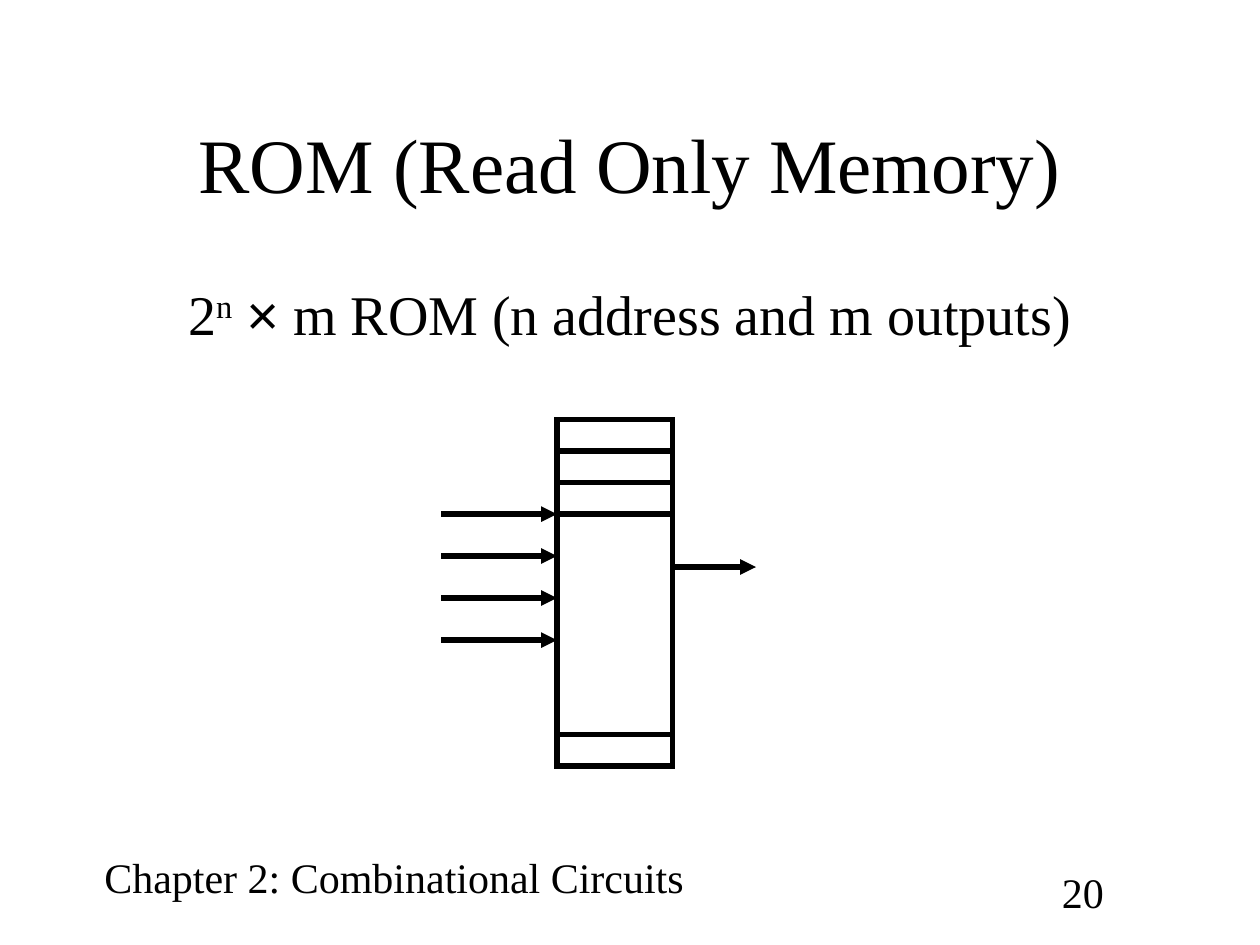
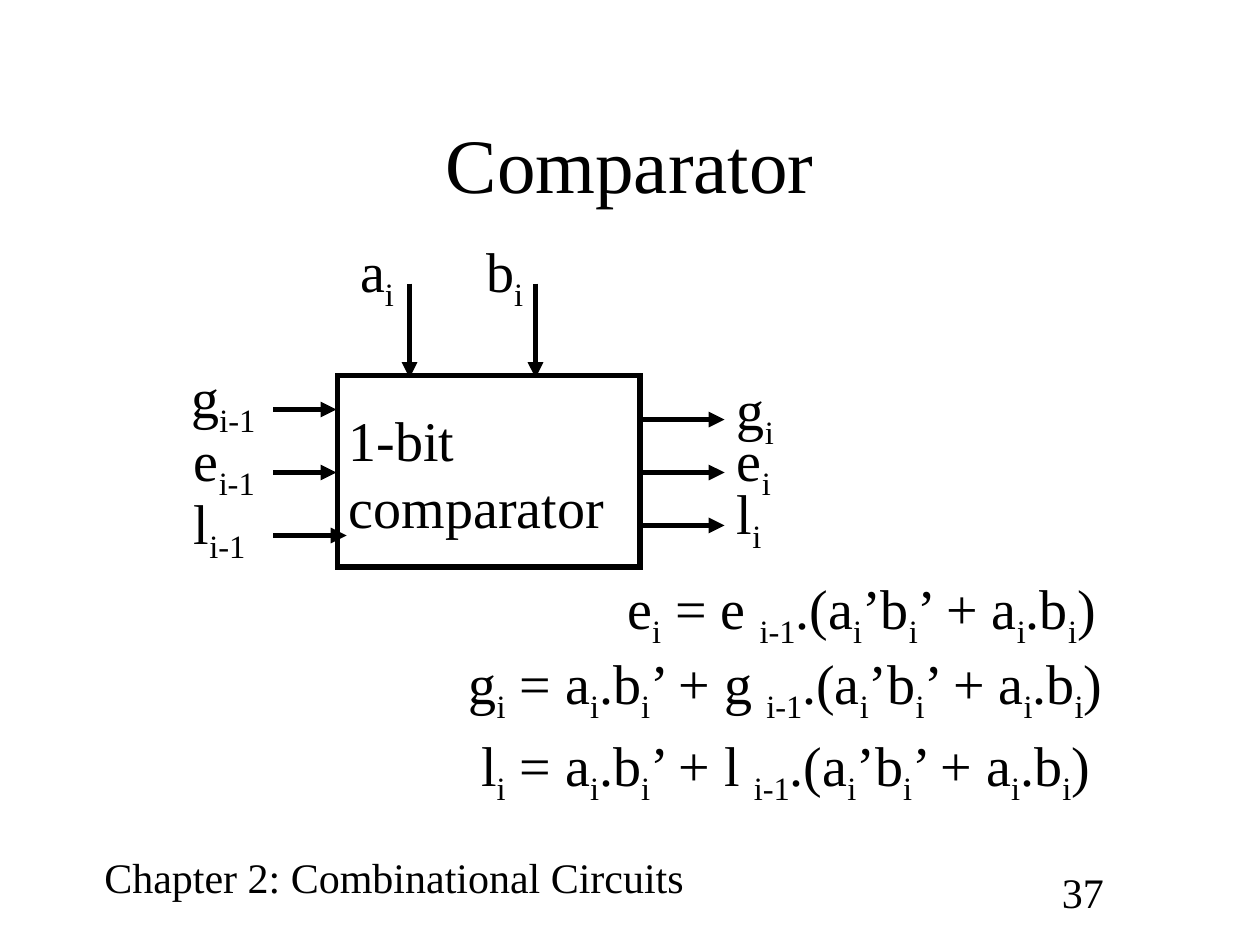
from collections import namedtuple

from pptx import Presentation
from pptx.dml.color import RGBColor
from pptx.enum.shapes import MSO_CONNECTOR as Connector, MSO_SHAPE as Shape
from pptx.enum.text import MSO_ANCHOR as Anchor, MSO_AUTO_SIZE as AutoSize, PP_ALIGN as Align
from pptx.oxml.ns import qn
from pptx.util import Inches, Pt

COLORS = {"ink": "000000", "paper": "FFFFFF"}
FONT, SYMBOL_FONT = "Times New Roman", "Arial"
TITLE_SIZE, TEXT_SIZE, FOOTER_SIZE = 44, 32, 24
LINE_WIDTH = Pt(3)
SUBSCRIPT, SUPERSCRIPT = -25000, 30000
TITLE_AND_BODY, TITLE_ONLY = 1, 5
Box = namedtuple("Box", "left top width height")


def color(name):
    return RGBColor.from_string(COLORS[name])


def place(shape, box):
    shape.left, shape.top, shape.width, shape.height = map(Inches, box)


def add_element(parent, tag, **attributes):
    parent.append(parent.makeelement(qn(tag), attributes))


def write(para, text, size, shift=SUBSCRIPT):
    """Every second piece between bars is shifted off the baseline."""
    for index, piece in enumerate(text.split("|")):
        if piece:
            span = para.add_run()
            span.text = piece
            if index % 2:
                span.font._element.set("baseline", str(shift))
    para.font.name = FONT
    para.font.size = Pt(size)
    para.font.color.rgb = color("ink")


def add_text(page, box, *lines, size=TEXT_SIZE, wrap=True):
    label = page.shapes.add_textbox(*map(Inches, box))
    frame = label.text_frame
    frame.word_wrap = wrap
    frame.auto_size = AutoSize.SHAPE_TO_FIT_TEXT
    for index, line in enumerate(lines):
        write(frame.add_paragraph() if index else frame.paragraphs[0], line, size)


def style_line(line):
    line.color.rgb = color("ink")
    line.width = LINE_WIDTH
    stroke = line._get_or_add_ln()
    add_element(stroke, "a:miter", lim="800000")
    return stroke


def add_outline(page, box):
    outline = page.shapes.add_shape(Shape.RECTANGLE, *map(Inches, box))
    outline.shadow.inherit = False
    outline.fill.background()
    style_line(outline.line)


def add_line(page, x1, y1, x2, y2, arrow=True):
    line = page.shapes.add_connector(Connector.STRAIGHT, *map(Inches, (x1, y1, x2, y2)))
    stroke = style_line(line.line)
    if arrow:
        add_element(stroke, "a:tailEnd", type="triangle")
    add_element(line._element.spPr, "a:effectLst")


def fill_placeholder(holder, box, text, size, anchor, shift=SUBSCRIPT):
    place(holder, box)
    frame = holder.text_frame
    frame.word_wrap = True
    frame.auto_size = AutoSize.NONE
    frame.vertical_anchor = anchor
    para = frame.paragraphs[0]
    para.alignment = Align.CENTER
    para.space_before = Pt(0)
    add_element(para._p.get_or_add_pPr(), "a:buNone")
    write(para, text, size, shift)
    return para


def add_page(deck, layout, title, number):
    page = deck.slides.add_slide(deck.slide_layouts[layout])
    page.background.fill.solid()
    page.background.fill.fore_color.rgb = color("paper")
    add_text(page, Box(0.73, 6.71, 4.88, 0.5), "Chapter 2: Combinational Circuits",
             size=FOOTER_SIZE, wrap=False)
    add_text(page, Box(8.33, 6.83, 0.92, 0.5), str(number), size=FOOTER_SIZE)
    fill_placeholder(page.shapes.title, Box(0.75, 0.67, 8.5, 1.25), title, TITLE_SIZE, Anchor.MIDDLE)
    return page


def add_memory(page, box):
    add_outline(page, box)
    right = box.left + box.width
    row = box.height / 11
    for count in (1, 2, 3, 10):
        y = box.top + count * row
        add_line(page, box.left, y, right, y, arrow=False)
    for index in range(4):
        y = box.top + 3 * row + index / 3
        add_line(page, box.left - 0.92, y, box.left, y)
    y = box.top + 1.17
    add_line(page, right, y, right + 0.66, y)


def add_comparator(page, box):
    left, top = box.left, box.top
    right = left + box.width
    add_outline(page, box)
    add_text(page, Box(left - 0.01, top + 0.19, 2.64, 1.17), "1-bit", "comparator")

    for index, name in enumerate("ab"):
        x = left + 0.57 + index
        add_line(page, x, top - 0.73, x, top + 0.02)
        add_text(page, Box(left + 0.08 + index, top - 1.15, 0.53, 0.71), f"{name}|i")

    inputs = (("g", 1.42, 0.97, 0.5), ("e", 1.44, 0.75, 0.5), ("l", 1.44, 0.68, 0.58))
    for index, (name, x, width, length) in enumerate(inputs):
        y = top + 0.27 + index / 2
        add_line(page, left - 0.51, y, left - 0.51 + length, y)
        add_text(page, Box(x, y - 0.42, width, 0.71), f"{name}|i-1")

    outputs = (("g", 0.53, 0.35, -0.06), ("e", 0.53, 0.77, 0.35), ("l", 0.45, 1.19, 0.77))
    for name, width, arrow_y, label_y in outputs:
        add_line(page, right, top + arrow_y, right + 0.67, top + arrow_y)
        add_text(page, Box(right + 0.67, top + label_y, width, 0.71), f"{name}|i")


def add_equations(page, box):
    equal = "(a|i|’b|i|’ + a|i|.b|i|)"
    equations = (
        (1.26, 0, 3.95, f"e|i| = e |i-1|.{equal}"),
        (0, 0.6, 5.29, f"g|i| = a|i|.b|i|’ + g |i-1|.{equal}"),
        (0.1, 1.25, 5.1, f"l|i| = a|i|.b|i|’ + l |i-1|.{equal}"),
    )
    for x, y, width, text in equations:
        add_text(page, Box(box.left + x, box.top + y, width, 0.71), text, wrap=False)


def build_memory_page(deck):
    page = add_page(deck, TITLE_AND_BODY, "ROM (Read Only Memory)", 20)
    para = fill_placeholder(
        page.placeholders[1], Box(0.75, 2.17, 8.5, 4.5),
        "2|n| ||×|| m ROM (n address and m outputs)", TEXT_SIZE, Anchor.TOP, SUPERSCRIPT)
    para.runs[3].font.name = SYMBOL_FONT
    add_memory(page, Box(4.42, 3.33, 0.92, 2.75))


def build_comparator_page(deck):
    page = add_page(deck, TITLE_ONLY, "Comparator", 37)
    add_comparator(page, Box(2.68, 2.98, 2.4, 1.52))
    add_equations(page, Box(3.62, 4.5, 5.29, 1.96))


def main():
    deck = Presentation()
    deck.slide_width, deck.slide_height = Inches(10), Inches(7.5)
    build_memory_page(deck)
    build_comparator_page(deck)
    deck.save("out.pptx")


if __name__ == "__main__":
    main()
